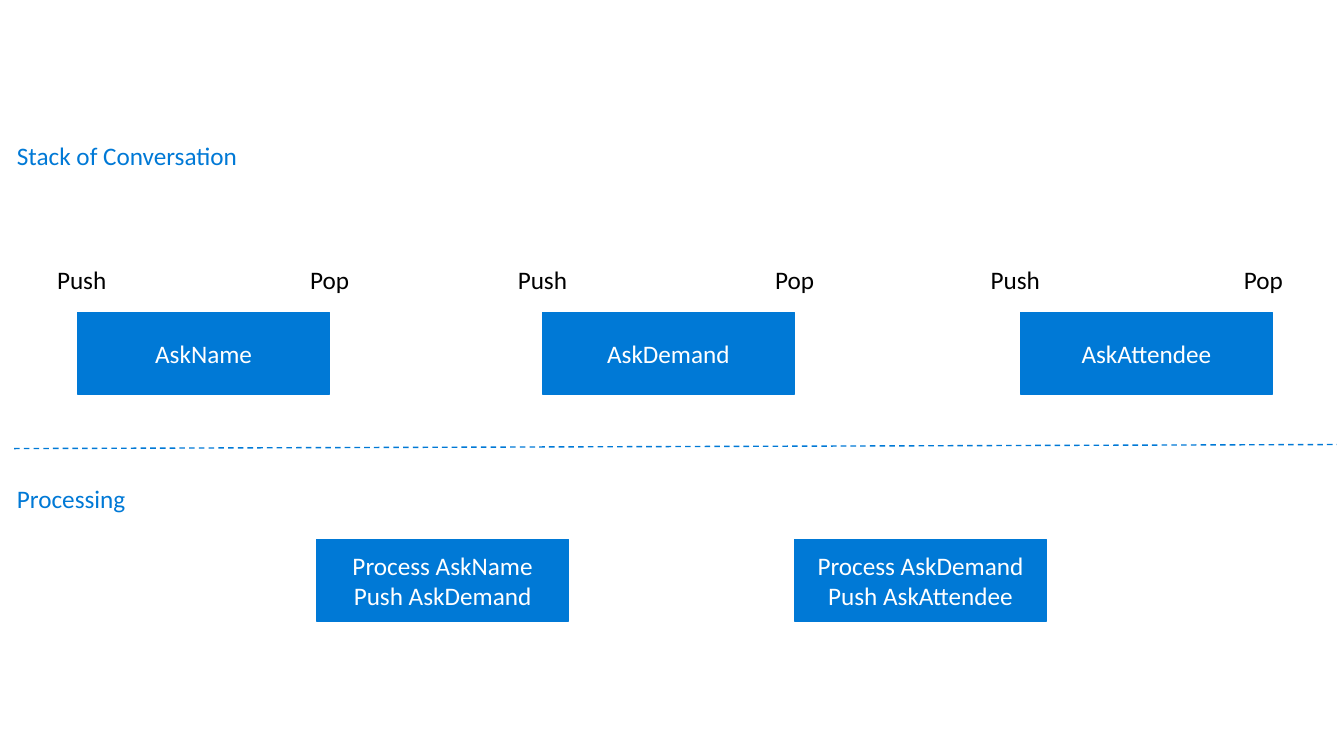
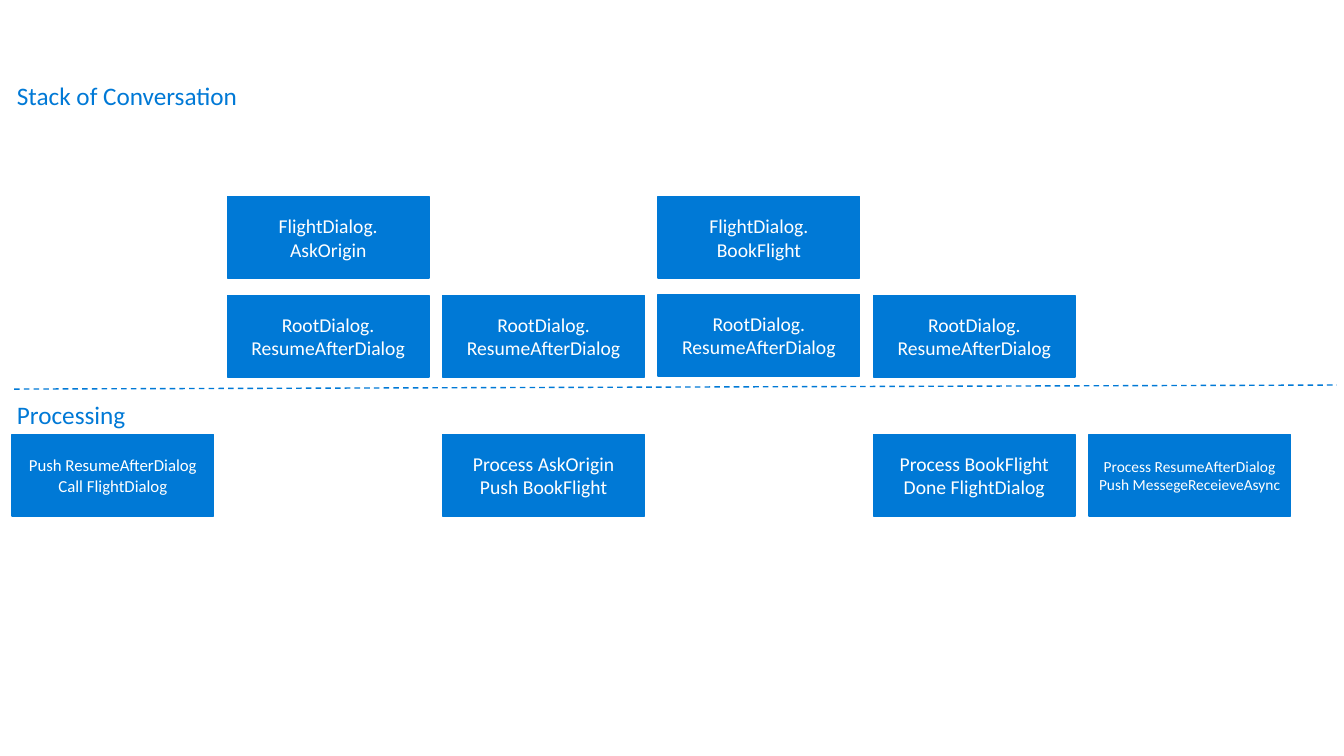
import pptx
import pptx.util
import pptx.dml.color
import pptx.enum.dml
import pptx.enum.shapes
import pptx.enum.text
import pptx.oxml.ns
import lxml.etree
from dataclasses import dataclass

Inches = pptx.util.Inches
Color = pptx.dml.color.RGBColor
Align = pptx.enum.text.PP_ALIGN
Anchor = pptx.enum.text.MSO_ANCHOR


@dataclass(frozen=True)
class Theme:
    font: str = "Calibri"
    blue: Color = Color(0x00, 0x79, 0xD6)
    white: Color = Color(0xFF, 0xFF, 0xFF)
    black: Color = Color(0, 0, 0)
    large: int = 18
    body: int = 14
    small: int = 12
    tiny: int = 11
    line: int = 1
    high: float = 0.81


theme = Theme()


# Shared parts
def write(frame, text, size, color, align):
    frame.word_wrap = True
    frame.text = text
    for para in frame.paragraphs:
        para.alignment = align
        for run in para.runs:
            run.font.name = theme.font
            run.font.size = pptx.util.Pt(size)
            run.font.color.rgb = color


def box(slide, left, top, width, text, size):
    shape = slide.shapes.add_shape(
        pptx.enum.shapes.MSO_SHAPE.RECTANGLE,
        Inches(left), Inches(top), Inches(width), Inches(theme.high))
    shape.shadow.inherit = False
    shape.fill.solid()
    shape.fill.fore_color.rgb = theme.blue
    shape.line.color.rgb = theme.blue
    shape.line.width = pptx.util.Pt(theme.line)
    shape.text_frame.vertical_anchor = Anchor.MIDDLE
    write(shape.text_frame, text, size, theme.white, Align.CENTER)


def label(slide, left, top, width, text, color, align):
    shape = slide.shapes.add_textbox(
        Inches(left), Inches(top), Inches(width), Inches(0.4))
    write(shape.text_frame, text, theme.large, color, align)
    shape.text_frame.auto_size = pptx.enum.text.MSO_AUTO_SIZE.SHAPE_TO_FIT_TEXT


def split(slide, top):
    line = slide.shapes.add_connector(
        pptx.enum.shapes.MSO_CONNECTOR.STRAIGHT,
        Inches(0.14), Inches(top), Inches(13.26), Inches(top - 0.04))
    line.line.color.rgb = theme.blue
    line.line.width = pptx.util.Pt(theme.line)
    line.line.dash_style = pptx.enum.dml.MSO_LINE.DASH
    lxml.etree.SubElement(line.element.spPr, pptx.oxml.ns.qn("a:effectLst"))


def zones(slide, stack, rule, work):
    for top, text in ((stack, "Stack of Conversation"), (work, "Processing")):
        label(slide, 0.07, top, 2.53, text, theme.blue, Align.LEFT)
    split(slide, rule)


# Slide 1: one dialog on the stack at a time
def single(slide):
    zones(slide, 1.34, 4.45, 4.75)
    width = 2.5
    steps = (("AskName", 0.77, 0.07, 2.53),
             ("AskDemand", 5.38, 4.64, 7.14),
             ("AskAttendee", 10.12, 9.33, 11.79))
    for name, left, push, pop in steps:
        box(slide, left, 3.1, width, name, theme.large)
        for text, spot in (("Push", push), ("Pop", pop)):
            label(slide, spot, 2.57, 1.48, text, theme.black, Align.CENTER)
    for (name, *_), (after, *_), left in zip(steps, steps[1:], (3.14, 7.88)):
        box(slide, left, 5.35, width, f"Process {name}\nPush {after}", theme.large)


# Slide 2: nested dialogs on a grid of six columns
def nested(slide):
    zones(slide, 0.75, 3.86, 3.91)
    pitch = (10.8 - 0.12) / 5

    def cell(col, top, text, size=theme.body):
        box(slide, 0.12 + col * pitch, top, 2, text, size)

    for col, name in ((1, "AskOrigin"), (3, "BookFlight")):
        cell(col, 1.95, f"FlightDialog.\n{name}")
    for col in range(1, 5):
        cell(col, 2.92 if col == 3 else 2.93, "RootDialog. ResumeAfterDialog")
    for col, text, size in (
            (0, "Push ResumeAfterDialog\nCall FlightDialog", theme.small),
            (2, "Process AskOrigin\nPush BookFlight", theme.body),
            (4, "Process BookFlight\nDone FlightDialog", theme.body),
            (5, "Process ResumeAfterDialog\nPush MessegeReceieveAsync", theme.tiny)):
        cell(col, 4.31, text, size)


deck = pptx.Presentation()
deck.slide_width, deck.slide_height = Inches(13.33), Inches(7.5)
blank = deck.slide_layouts[6]
for draw in (single, nested):
    draw(deck.slides.add_slide(blank))
deck.save("out.pptx")
